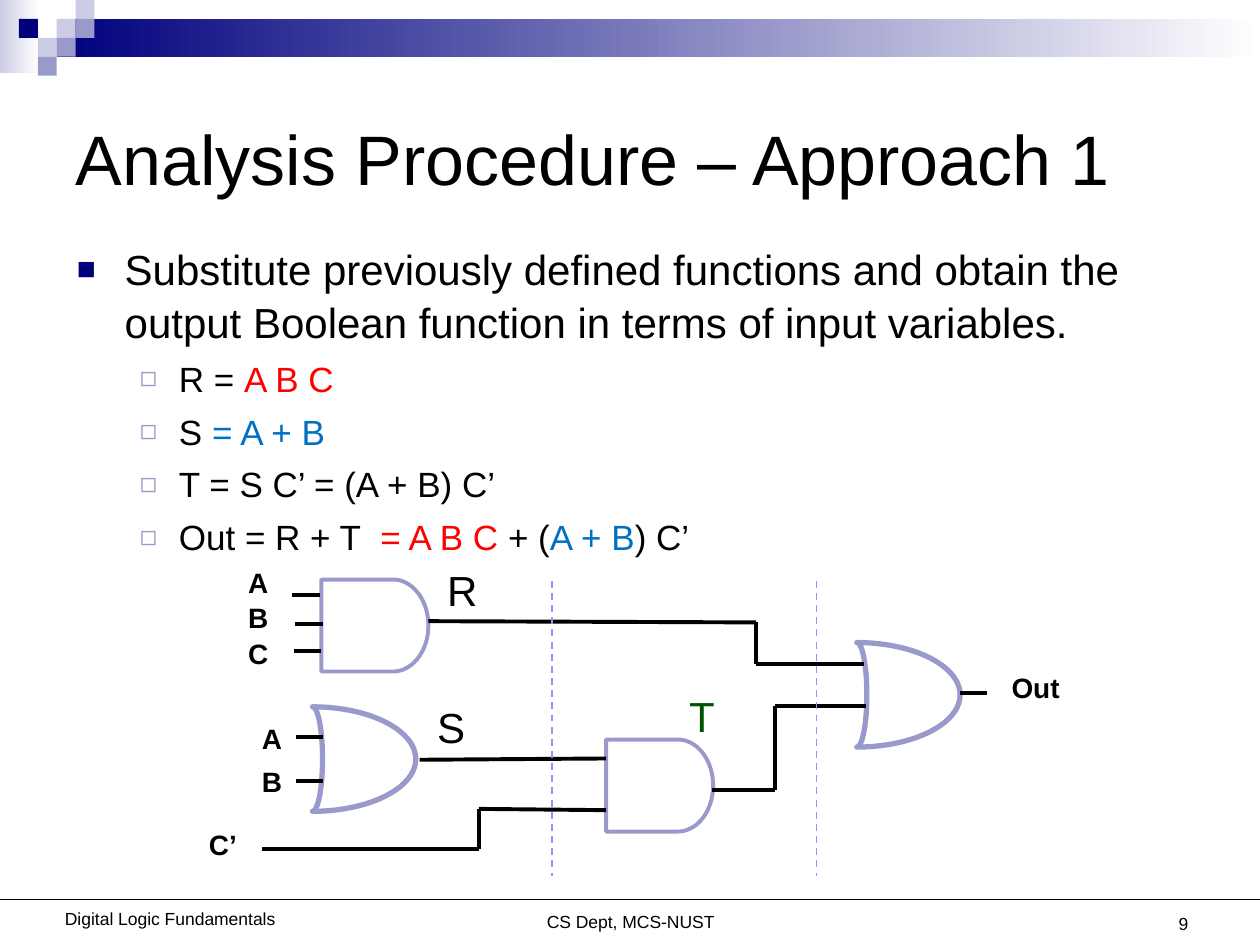
import math

from lxml import etree
from pptx import Presentation
from pptx import util as u
from pptx.dml.color import RGBColor
from pptx.enum import dml, shapes, text
from pptx.oxml.ns import qn

FONT = "Arial"
BLACK, NAVY, LILAC, PALE = "000000", "00007D", "9999CC", "CCCCE6"
RED, BLUE, GREEN, DASH = "FF0000", "0070C0", "005400", "9393FC"

TITLE = "Analysis Procedure – Approach 1"
# (level, [(words, colour), ...])
BULLETS = [
    (0, [("Substitute previously defined functions and obtain the output "
          "Boolean function in terms of input variables.", BLACK)]),
    (1, [("R = ", BLACK), ("A B C", RED)]),
    (1, [("S ", BLACK), ("= A + B", BLUE)]),
    (1, [("T = S C’ = (A + B) C’", BLACK)]),
    (1, [("Out = R + T  ", BLACK), ("= A B C ", RED), ("+ (", BLACK),
         ("A + B", BLUE), (") C’", BLACK)]),
]
# per level: size, space before, indent, bullet, bullet colour, bullet percent
LEVELS = [(24, 0, (0.38, -0.38), "■", NAVY, 75),
          (20, 5, (0.81, -0.31), "◻", LILAC, 80)]

# Mosaic of squares: (column, row, colour)
TILE = 0.15
TILES = [(3, 1, PALE), (4, 0, PALE), (4, 1, LILAC), (2, 2, PALE),
         (1, 1, NAVY), (3, 2, LILAC), (2, 3, LILAC)]
BANDS = [((0, 0, 0.31, 0.58), PALE), ((0.45, 0.15, 9.55, 0.3), NAVY)]

# Gates: left, top
AND_GATES = [(2.55, 4.6), (4.81, 5.87)]
OR_GATES = [(2.48, 5.61), (6.8, 5.1)]
AND_SIZE, AND_STRAIGHT = (0.85, 0.73), 0.57
OR_SIZE, OR_BACK = (0.82, 0.83), 0.08

# Wires: corner points, joined in order
WIRES = [
    [(2.32, 4.72), (2.54, 4.72)], [(2.34, 4.95), (2.56, 4.95)],
    [(2.33, 5.17), (2.55, 5.17)],
    [(2.35, 5.85), (2.56, 5.85)], [(2.35, 6.2), (2.56, 6.2)],
    [(3.4, 4.93), (6, 4.94), (6, 5.27), (6.86, 5.27)],
    [(3.33, 6.03), (4.81, 6.02)],
    [(2.08, 6.74), (3.8, 6.74), (3.8, 6.42), (4.81, 6.43)],
    [(5.65, 6.27), (6.15, 6.27), (6.15, 5.6), (6.87, 5.6)],
    [(7.62, 5.5), (7.83, 5.5)],
]
STAGE_LINES = [4.38, 6.48]

# Labels: words, left, top
PINS = [("A", 1.87, 4.44), ("B", 1.87, 4.72), ("C", 1.87, 5), ("A", 1.98, 5.68),
        ("B", 1.98, 6.02), ("C’", 1.56, 6.52), ("Out", 7.93, 5.27)]
SIGNALS = [("R", 3.45, 4.43, BLACK), ("S", 3.37, 5.52, BLACK),
           ("T", 5.37, 5.43, GREEN)]
FOOTERS = [("Digital Logic Fundamentals", (0.35, 7.16, 2, 0.28), "CENTER"),
           ("CS Dept, MCS-NUST", (2.92, 7.18, 4.17, 0.28), "CENTER"),
           ("9", (7.2, 7.2, 2.33, 0.28), "RIGHT")]


def rgb(colour):
    return RGBColor.from_string(colour)


def inches(values):
    return [u.Inches(value) for value in values]


def style(font, size, colour, bold=False):
    font.name, font.size, font.bold = FONT, u.Pt(size), bold
    font.color.rgb = rgb(colour)


def add_rect(page, at, colour, fade=False):
    rect = page.shapes.add_shape(shapes.MSO_SHAPE.RECTANGLE, *inches(at))
    rect.shadow.inherit = False
    rect.line.fill.background()
    if fade:
        rect.fill.gradient()
        rect.fill.gradient_angle = 0
        for stop, shade in zip(rect.fill.gradient_stops, (colour, "FFFFFF")):
            stop.color.rgb = rgb(shade)
    else:
        rect.fill.solid()
        rect.fill.fore_color.rgb = rgb(colour)


def add_line(page, start, end, colour=BLACK, width=2.25, dashed=False):
    line = page.shapes.add_connector(shapes.MSO_CONNECTOR.STRAIGHT,
                                     *inches(start + end))
    line.line.color.rgb = rgb(colour)
    line.line.width = u.Pt(width)
    if dashed:
        line.line.dash_style = dml.MSO_LINE.DASH
    etree.SubElement(line._element.spPr, qn("a:effectLst"))


def add_label(page, words, at, size, colour=BLACK, bold=False, align="LEFT",
              wrap=False):
    box = page.shapes.add_textbox(*inches(at))
    frame = box.text_frame
    frame.word_wrap = wrap
    para = frame.paragraphs[0]
    para.text = words
    para.alignment = text.PP_ALIGN[align]
    style(para.font, size, colour, bold)


def arc(left, middle, reach, half, steps=40):
    """Points of a half ellipse bulging right, from top to bottom."""
    angles = [math.pi * (i / steps - 0.5) for i in range(steps + 1)]
    return [(left + reach * math.cos(a), middle + half * math.sin(a))
            for a in angles]


def add_gate(page, outline, width):
    builder = page.shapes.build_freeform(*inches(outline[0]), scale=1.0)
    builder.add_line_segments([inches(point) for point in outline[1:]], close=True)
    gate = builder.convert_to_shape()
    gate.shadow.inherit = False
    gate.fill.solid()
    gate.fill.fore_color.rgb = rgb("FFFFFF")
    gate.line.color.rgb = rgb(LILAC)
    gate.line.width = u.Pt(width)


def and_outline(left, top):
    width, height = AND_SIZE
    nose = arc(left + AND_STRAIGHT, top + height / 2, width - AND_STRAIGHT, height / 2)
    return [(left, top)] + nose + [(left, top + height)]


def or_outline(left, top):
    width, height = OR_SIZE
    middle, half = top + height / 2, height / 2
    return arc(left, middle, width, half) + arc(left, middle, OR_BACK, half)[::-1]


def add_bullet(para, mark, colour, percent):
    props = para._p.get_or_add_pPr()
    tint = etree.SubElement(props, qn("a:buClr"))
    etree.SubElement(tint, qn("a:srgbClr"), val=colour)
    etree.SubElement(props, qn("a:buSzPct"), val=str(percent * 1000))
    etree.SubElement(props, qn("a:buFont"), typeface=FONT)
    etree.SubElement(props, qn("a:buChar"), char=mark)


def place(holder, at, anchor):
    holder.left, holder.top, holder.width, holder.height = inches(at)
    frame = holder.text_frame
    frame.word_wrap, frame.auto_size = True, text.MSO_AUTO_SIZE.NONE
    frame.vertical_anchor = anchor
    return frame


def fill_text(page):
    frame = place(page.shapes.title, (0.5, 0.5, 9, 1.5), text.MSO_ANCHOR.MIDDLE)
    frame.text = TITLE
    frame.paragraphs[0].alignment = text.PP_ALIGN.LEFT
    style(frame.paragraphs[0].font, 40, BLACK)

    frame = place(page.placeholders[1], (0.51, 1.86, 9, 2.6), text.MSO_ANCHOR.TOP)
    for index, (level, spans) in enumerate(BULLETS):
        para = frame.add_paragraph() if index else frame.paragraphs[0]
        size, before, (margin, indent), mark, tint, percent = LEVELS[level]
        para.level = level
        para.line_spacing, para.space_before = 1.05, u.Pt(before)
        props = para._p.get_or_add_pPr()
        props.set("marL", str(u.Inches(margin)))
        props.set("indent", str(u.Inches(indent)))
        add_bullet(para, mark, tint, percent)
        for words, colour in spans:
            span = para.add_run()
            span.text = words
            style(span.font, size, colour)


def main():
    deck = Presentation()
    deck.slide_width, deck.slide_height = inches((10, 7.5))
    page = deck.slides.add_slide(deck.slide_layouts[1])
    for at, colour in BANDS:
        add_rect(page, at, colour, fade=True)
    for column, row, colour in TILES:
        add_rect(page, (column * TILE, row * TILE, TILE, TILE), colour)
    fill_text(page)
    for corner in AND_GATES:
        add_gate(page, and_outline(*corner), 2.25)
    for corner in OR_GATES:
        add_gate(page, or_outline(*corner), 3)
    for wire in WIRES:
        for start, end in zip(wire, wire[1:]):
            add_line(page, start, end)
    for x in STAGE_LINES:
        add_line(page, (x, 4.61), (x, 6.95), DASH, 1, dashed=True)
    for words, left, top in PINS:
        add_label(page, words, (left, top, 0.22 + 0.13 * len(words), 0.37), 16, bold=True)
    for words, left, top, colour in SIGNALS:
        add_label(page, words, (left, top, 0.42, 0.5), 24, colour)
    add_line(page, (0, 7.14), (10, 7.14), width=0.75)
    for words, at, align in FOOTERS:
        add_label(page, words, at, 10, align=align, wrap=True)
    deck.save("out.pptx")


if __name__ == "__main__":
    main()
